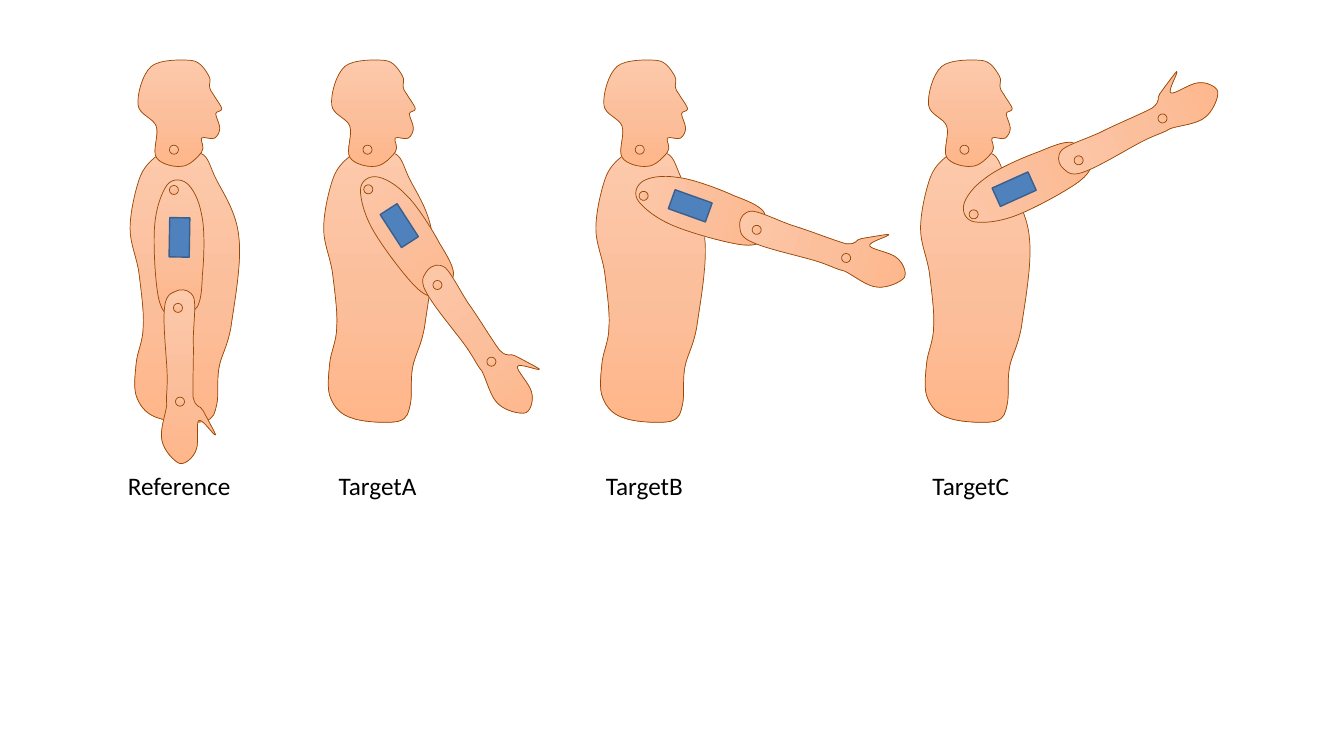
import copy
import math

import pptx
import pptx.dml.color
import pptx.enum.shapes
import pptx.enum.text
import pptx.oxml
import pptx.oxml.ns
import pptx.util

Inches = pptx.util.Inches
RGB = pptx.dml.color.RGBColor.from_string
OVAL = pptx.enum.shapes.MSO_SHAPE.OVAL
RECT = pptx.enum.shapes.MSO_SHAPE.RECTANGLE

THEME = {
    "skin": ("FDCAAC", "FBBF9C", "FFB68A"),
    "skin_line": ("984807", 0.5),
    "patch": "4F81BD",
    "patch_line": ("3A5F8C", 1),
    "text": {"name": "Calibri", "size": pptx.util.Pt(18)},
    "ink": "000000",
}

# label, label left, body shift, shoulder joint centre, swing of arm in degrees
POSES = [
    ("Reference", 1.17, 0, (1.73, 1.89), 0),
    ("TargetA", 3.26, 1.92, (3.66, 1.88), -33.9),
    ("TargetB", 5.91, 4.62, (6.39, 1.94), -71.3),
    ("TargetC", 9.15, 7.84, (9.66, 2.12), -115.3),
]
LABEL_TOP, LABEL_HEIGHT = 4.62, 0.4
LABEL_WIDTHS = {"Reference": 1.23}
TARGET_WIDTH = 0.98

# Closed outlines in inches; each row is one cubic curve: two controls, then the end
TORSO = [
    (1.49, 1.6, 1.42, 1.66, 1.38, 1.78),
    (1.34, 1.9, 1.29, 2.11, 1.29, 2.27),
    (1.29, 2.42, 1.36, 2.56, 1.38, 2.72),
    (1.4, 2.89, 1.43, 3.1, 1.42, 3.24),
    (1.42, 3.39, 1.36, 3.49, 1.35, 3.61),
    (1.34, 3.72, 1.32, 3.86, 1.36, 3.95),
    (1.4, 4.05, 1.47, 4.12, 1.58, 4.15),
    (1.69, 4.19, 1.94, 4.2, 2.03, 4.18),
    (2.13, 4.15, 2.13, 4.09, 2.15, 4.01),
    (2.17, 3.92, 2.15, 3.79, 2.17, 3.66),
    (2.19, 3.53, 2.25, 3.46, 2.29, 3.25),
    (2.32, 3.03, 2.4, 2.61, 2.37, 2.36),
    (2.35, 2.11, 2.21, 1.91, 2.14, 1.77),
    (2.07, 1.63, 2.07, 1.52, 1.94, 1.51),
    (1.81, 1.49, 1.68, 1.53, 1.55, 1.55),
]
HEAD = [
    (1.59, 1.63, 1.73, 1.66, 1.8, 1.65),
    (1.88, 1.65, 1.97, 1.55, 2, 1.51),
    (2.04, 1.46, 1.98, 1.39, 2, 1.37),
    (2.02, 1.35, 2.1, 1.39, 2.13, 1.37),
    (2.16, 1.35, 2.18, 1.31, 2.18, 1.27),
    (2.18, 1.23, 2.14, 1.16, 2.14, 1.13),
    (2.14, 1.1, 2.2, 1.11, 2.2, 1.08),
    (2.2, 1.06, 2.15, 0.99, 2.13, 0.96),
    (2.11, 0.92, 2.09, 0.91, 2.08, 0.87),
    (2.07, 0.84, 2.1, 0.79, 2.07, 0.75),
    (2.04, 0.7, 1.99, 0.61, 1.9, 0.6),
    (1.8, 0.59, 1.58, 0.59, 1.5, 0.66),
    (1.41, 0.74, 1.36, 0.94, 1.37, 1.04),
    (1.38, 1.14, 1.52, 1.17, 1.55, 1.25),
    (1.58, 1.34, 1.51, 1.49, 1.55, 1.56),
]
# Limb outlines start at the corner of their own box
UPPER = [
    (0.19, -0.02, 0.28, -0.02, 0.34, 0.03),
    (0.4, 0.08, 0.46, 0.2, 0.48, 0.35),
    (0.51, 0.5, 0.49, 0.79, 0.47, 0.94),
    (0.46, 1.09, 0.45, 1.19, 0.41, 1.26),
    (0.36, 1.32, 0.24, 1.36, 0.18, 1.35),
    (0.11, 1.34, 0.06, 1.31, 0.03, 1.17),
    (0, 1.02, -0.01, 0.64, 0.01, 0.45),
    (0.03, 0.26, 0.09, 0.12, 0.14, 0.05),
]
FOREARM = [
    (0.2, -0.01, 0.27, 0, 0.3, 0.08),
    (0.32, 0.17, 0.3, 0.33, 0.3, 0.49),
    (0.31, 0.66, 0.3, 0.95, 0.31, 1.06),
    (0.34, 1.18, 0.38, 1.13, 0.41, 1.19),
    (0.45, 1.26, 0.54, 1.42, 0.54, 1.43),
    (0.53, 1.45, 0.4, 1.26, 0.37, 1.29),
    (0.34, 1.31, 0.38, 1.51, 0.35, 1.58),
    (0.33, 1.65, 0.25, 1.73, 0.19, 1.72),
    (0.13, 1.7, 0.03, 1.59, 0.01, 1.5),
    (-0.02, 1.4, 0.04, 1.24, 0.05, 1.14),
    (0.04, 1.04, 0.05, 1.06, 0.05, 0.9),
    (0.05, 0.73, -0.01, 0.34, 0.01, 0.17),
    (0.02, 0.02, 0.11, 0.02, 0.15, 0),
]
NECK = (1.68, 1.44, 0.09, 0.09)
# form, box at rest, tilt at rest
ARM = [
    (UPPER, (1.53, 1.79, 0.49, 1.36), -1.7),
    (OVAL, (1.68, 1.84, 0.09, 0.09), -1.7),
    (FOREARM, (1.61, 2.88, 0.53, 1.72), 1.1),
    (OVAL, (1.72, 3.01, 0.09, 0.09), 1.1),
    (OVAL, (1.74, 3.94, 0.09, 0.09), 1.1),
    (RECT, (1.68, 2.16, 0.2, 0.39), 1),
]
REST = POSES[0][3]


def paint(shape, line):
    color, width = line
    shape.shadow.inherit = False
    shape.line.color.rgb = RGB(color)
    shape.line.width = pptx.util.Pt(width)


def paint_skin(shape):
    paint(shape, THEME["skin_line"])
    shape.fill.gradient()
    shape.fill.gradient_angle = 270
    stops = shape.element.find(".//" + pptx.oxml.ns.qn("a:gsLst"))
    stops.insert(1, copy.deepcopy(stops[0]))
    for stop, place, color in zip(shape.fill.gradient_stops, (0, 0.5, 1), THEME["skin"]):
        stop.position = place
        stop.color.rgb = RGB(color)


def draw_outline(shapes, curves, left, top):
    points = [(Inches(row[i]), Inches(row[i + 1])) for row in curves for i in (0, 2, 4)]
    pen = shapes.build_freeform(*points[-1])
    pen.add_line_segments(points, close=True)
    shape = pen.convert_to_shape(Inches(left), Inches(top))
    bend(shape)
    return shape


def bend(shape):
    """Turn each run of three line segments into one cubic curve."""
    lines = list(shape.element.iter(pptx.oxml.ns.qn("a:lnTo")))
    for first, second, third in zip(lines[::3], lines[1::3], lines[2::3]):
        curve = pptx.oxml.parse_xml(f"<a:cubicBezTo {pptx.oxml.ns.nsdecls('a')}/>")
        first.addprevious(curve)
        for line in (first, second, third):
            curve.append(line[0])
            line.getparent().remove(line)


def draw_part(shapes, form, box):
    left, top, width, height = box
    if isinstance(form, list):
        shape = draw_outline(shapes, form, left, top)
    else:
        shape = shapes.add_shape(form, *map(Inches, box))
    if form == RECT:
        paint(shape, THEME["patch_line"])
        shape.fill.solid()
        shape.fill.fore_color.rgb = RGB(THEME["patch"])
    else:
        paint_skin(shape)
    return shape


def swing_box(box, joint, angle):
    """Carry a box round the shoulder, keeping its size."""
    left, top, width, height = box
    x, y = left + width / 2 - REST[0], top + height / 2 - REST[1]
    cos, sin = math.cos(math.radians(angle)), math.sin(math.radians(angle))
    return (joint[0] + x * cos - y * sin - width / 2,
            joint[1] + x * sin + y * cos - height / 2, width, height)


def draw_body(slide, shift):
    shapes = slide.shapes.add_group_shape().shapes
    for curves in (TORSO, HEAD):
        paint_skin(draw_outline(shapes, curves, shift, 0))
    draw_part(shapes, OVAL, (NECK[0] + shift, *NECK[1:]))


def draw_arm(slide, joint, angle):
    shapes = slide.shapes.add_group_shape().shapes
    for form, box, tilt in ARM:
        part = draw_part(shapes, form, swing_box(box, joint, angle))
        part.rotation = (tilt + angle) % 360


def add_label(slide, label, left):
    width = LABEL_WIDTHS.get(label, TARGET_WIDTH)
    box = slide.shapes.add_textbox(*map(Inches, (left, LABEL_TOP, width, LABEL_HEIGHT)))
    frame = box.text_frame
    frame.text = label
    frame.word_wrap = False
    frame.auto_size = pptx.enum.text.MSO_AUTO_SIZE.SHAPE_TO_FIT_TEXT
    font = frame.paragraphs[0].runs[0].font
    for name, value in THEME["text"].items():
        setattr(font, name, value)
    font.color.rgb = RGB(THEME["ink"])


def main():
    deck = pptx.Presentation()
    deck.slide_width, deck.slide_height = Inches(13.33), Inches(7.5)
    slide = deck.slides.add_slide(deck.slide_layouts[6])
    for label, left, shift, joint, angle in POSES:
        draw_body(slide, shift)
        draw_arm(slide, joint, angle)
    for label, left, *rest in POSES:
        add_label(slide, label, left)
    deck.save("out.pptx")


if __name__ == "__main__":
    main()
